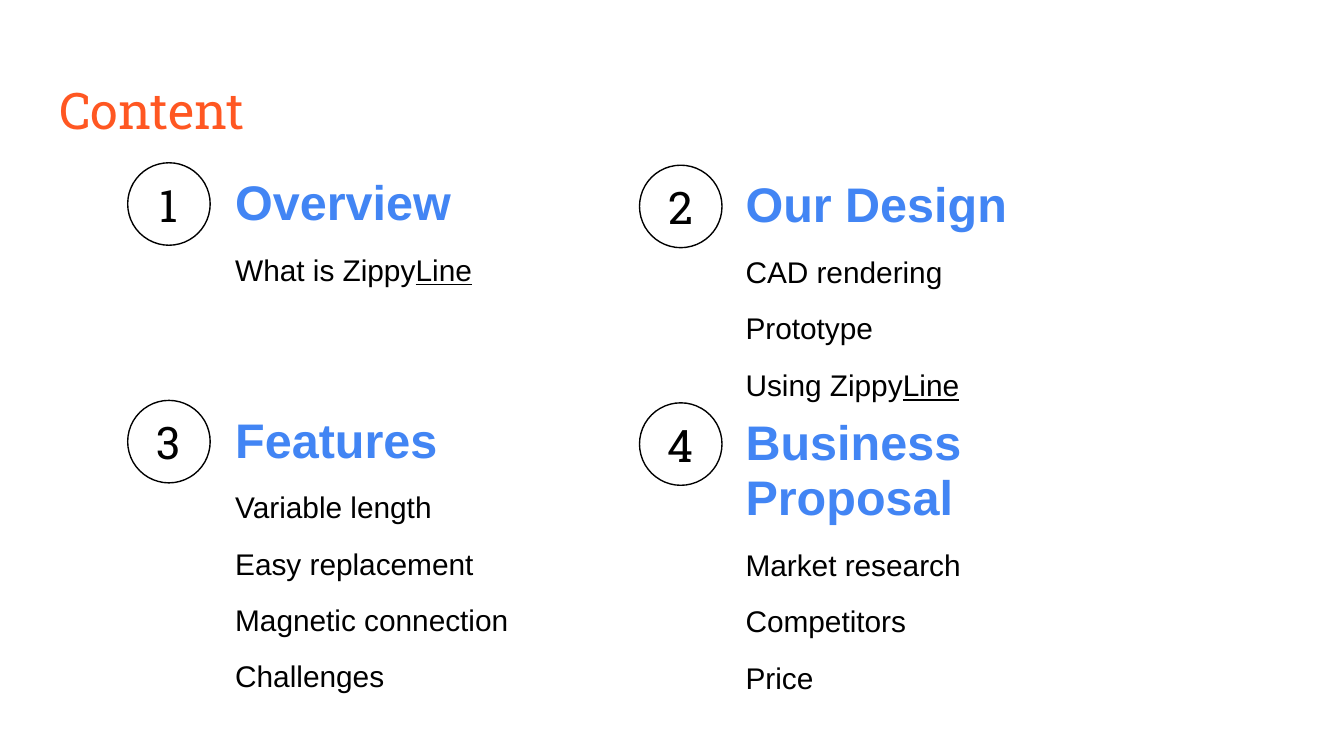
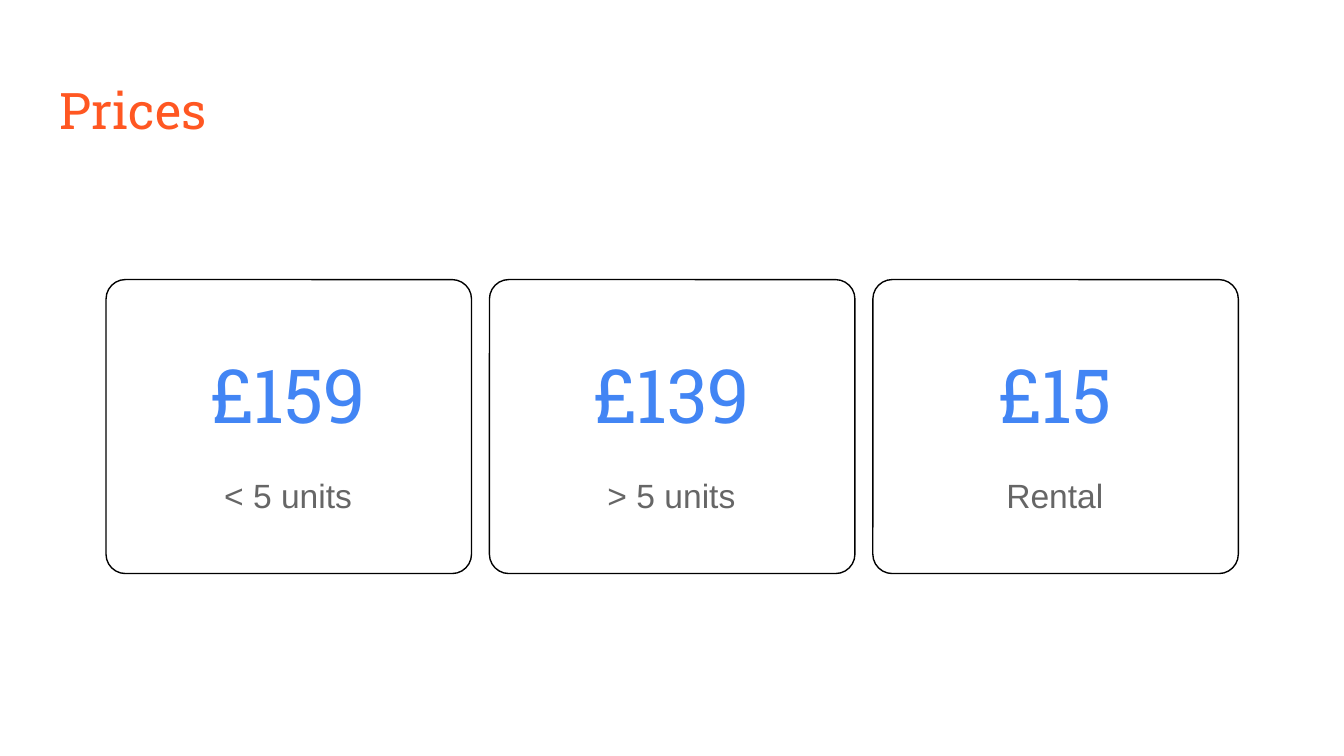
from dataclasses import dataclass

from lxml import etree
from pptx import Presentation
from pptx import util as u
from pptx.dml.color import RGBColor
from pptx.enum import shapes, text
from pptx.oxml import ns

Pt = u.Pt


@dataclass(frozen=True)
class Theme:
    accent: str = "FF5722"
    blue: str = "4285F4"
    black: str = "000000"
    grey: str = "666666"
    white: str = "FFFFFF"
    slab: str = "Roboto Slab"
    sans: str = "Arial"
    title_size: float = 27
    heading_size: float = 26
    item_size: float = 16
    number_size: float = 24
    price_size: float = 40
    note_size: float = 18
    inset: float = 7.2
    outline: float = 0.75


LEFT, CENTER = text.PP_ALIGN.LEFT, text.PP_ALIGN.CENTER
TOP, MIDDLE = text.MSO_ANCHOR.TOP, text.MSO_ANCHOR.MIDDLE
MARGINS = ("margin_left", "margin_top", "margin_right", "margin_bottom")
COMPARISON, TITLE_ONLY = 4, 5


def apply(target, values):
    for name, value in values.items():
        setattr(target, name, value)


class Deck:
    def __init__(self, theme):
        self.theme = theme
        self.presentation = Presentation()
        apply(self.presentation, {"slide_width": Pt(720), "slide_height": Pt(405)})
        self.slide = None

    def format(self, font, size, name, color, bold=False, underline=False):
        apply(font, {"size": Pt(size), "name": name, "bold": bold, "underline": underline})
        font.color.rgb = RGBColor.from_string(color)

    def place(self, shape, left, top, width, height):
        apply(shape, {"left": Pt(left), "top": Pt(top),
                      "width": Pt(width), "height": Pt(height)})

    def frame(self, frame, anchor, inset):
        apply(frame, {"word_wrap": True, "auto_size": text.MSO_AUTO_SIZE.NONE,
                      "vertical_anchor": anchor})
        apply(frame, dict.fromkeys(MARGINS, Pt(inset)))

    def paragraph(self, paragraph, runs, style, align=LEFT, spacing=1.0, before=0, after=0):
        """Fill a paragraph; each run is its wording and whether it is underlined."""
        apply(paragraph, {"alignment": align, "line_spacing": spacing,
                          "space_before": Pt(before), "space_after": Pt(after)})
        for wording, underline in runs:
            run = paragraph.add_run()
            run.text = wording
            self.format(run.font, *style, underline=underline)

    def new_slide(self, layout, title):
        self.slide = self.presentation.slides.add_slide(self.presentation.slide_layouts[layout])
        shape = self.slide.shapes.title
        self.place(shape, 24.5, 35.3, 671, 45.4)
        self.frame(shape.text_frame, TOP, self.theme.inset)
        style = (self.theme.title_size, self.theme.slab, self.theme.accent)
        self.paragraph(shape.text_frame.paragraphs[0], [(title, False)], style)

    def section(self, index, box, heading, items):
        theme = self.theme
        shape = self.slide.placeholders[index]
        self.place(shape, *box)
        frame = shape.text_frame
        self.frame(frame, TOP, theme.inset)
        lines = [[(heading, False)]] + items
        for position, runs in enumerate(lines):
            paragraph = frame.paragraphs[0] if position == 0 else frame.add_paragraph()
            properties = paragraph._p.get_or_add_pPr()
            properties.set("marL", "0")
            properties.set("indent", "0")
            etree.SubElement(properties, ns.qn("a:buNone"))
            if position == 0:
                style = (theme.heading_size, theme.sans, theme.blue, True)
            else:
                style = (theme.item_size, theme.sans, theme.black)
            self.paragraph(paragraph, runs, style, spacing=0.95,
                           before=12 if position else 0,
                           after=12 if position == len(lines) - 1 else 0)

    def outlined(self, kind, *box):
        shape = self.slide.shapes.add_shape(kind, *map(Pt, box))
        shape.shadow.inherit = False
        shape.fill.solid()
        shape.fill.fore_color.rgb = RGBColor.from_string(self.theme.white)
        shape.line.color.rgb = RGBColor.from_string(self.theme.black)
        shape.line.width = Pt(self.theme.outline)
        return shape

    def badge(self, number, left, top, size):
        self.outlined(shapes.MSO_SHAPE.OVAL, left, top, size, size)
        label = self.slide.shapes.add_textbox(*map(Pt, (left, top + 6, size, 32.4)))
        self.frame(label.text_frame, MIDDLE, 0)
        style = (self.theme.number_size, self.theme.slab, self.theme.black)
        self.paragraph(label.text_frame.paragraphs[0], [(str(number), False)], style, CENTER)

    def price_card(self, left, top, width, height, price, note):
        theme = self.theme
        card = self.outlined(shapes.MSO_SHAPE.ROUNDED_RECTANGLE, left, top, width, height)
        card.adjustments[0] = 0.066
        rows = [
            (59, price, (theme.price_size, theme.slab, theme.blue), {}),
            (39.6, note, (theme.note_size, theme.sans, theme.grey),
             {"spacing": 1.15, "after": 12}),
        ]
        table = self.slide.shapes.add_table(
            len(rows), 1, *map(Pt, (left, top + 28, 195, 98.6))).table
        apply(table, {"first_row": False, "horz_banding": False})
        for index, (row_height, wording, style, spacing) in enumerate(rows):
            table.rows[index].height = Pt(row_height)
            cell = table.cell(index, 0)
            self.clear_cell(cell)
            self.paragraph(cell.text_frame.paragraphs[0], [(wording, False)],
                           style, CENTER, **spacing)

    def clear_cell(self, cell):
        apply(cell, dict.fromkeys(MARGINS, Pt(self.theme.inset)))
        cell.vertical_anchor = MIDDLE
        properties = cell._tc.get_or_add_tcPr()
        for side in ("a:lnL", "a:lnR", "a:lnT", "a:lnB"):
            border = etree.SubElement(properties, ns.qn(side))
            etree.SubElement(border, ns.qn("a:noFill"))
        cell.fill.background()


def plain(*items):
    return [[(item, False)] for item in items]


def product(lead):
    return [(lead + " Zippy", False), ("Line", True)]


def main():
    deck = Deck(Theme())

    # Contents: a two by two grid of numbered sections
    deck.new_slide(COMPARISON, "Content")
    sections = [
        ("Overview", 149, [product("What is")]),
        ("Our Design", 247, plain("CAD rendering", "Prototype") + [product("Using")]),
        ("Features", 181, plain("Variable length", "Easy replacement",
                                "Magnetic connection", "Challenges")),
        ("Business Proposal", 247, plain("Market research", "Competitors", "Price")),
    ]
    badges = []
    for index, (heading, width, items) in enumerate(sections):
        row, column = divmod(index, 2)
        top = 87.2 + 127.3 * row + 1.3 * column
        deck.section(index + 1, (118.8 + 273.4 * column, top, width, 66.2), heading, items)
        badges.append((index + 1, 68.4 + 274.2 * column, top, 44.2))
    for badge in badges:
        deck.badge(*badge)

    # Prices: three equal cards
    deck.new_slide(TITLE_ONLY, "Prices")
    prices = [("£159", "< 5 units"), ("£139", "> 5 units"), ("£15", "Rental")]
    for index, (price, note) in enumerate(prices):
        deck.price_card(56.8 + 205.4 * index, 149.8, 195.8, 157.5, price, note)

    deck.presentation.save("out.pptx")


if __name__ == "__main__":
    main()
